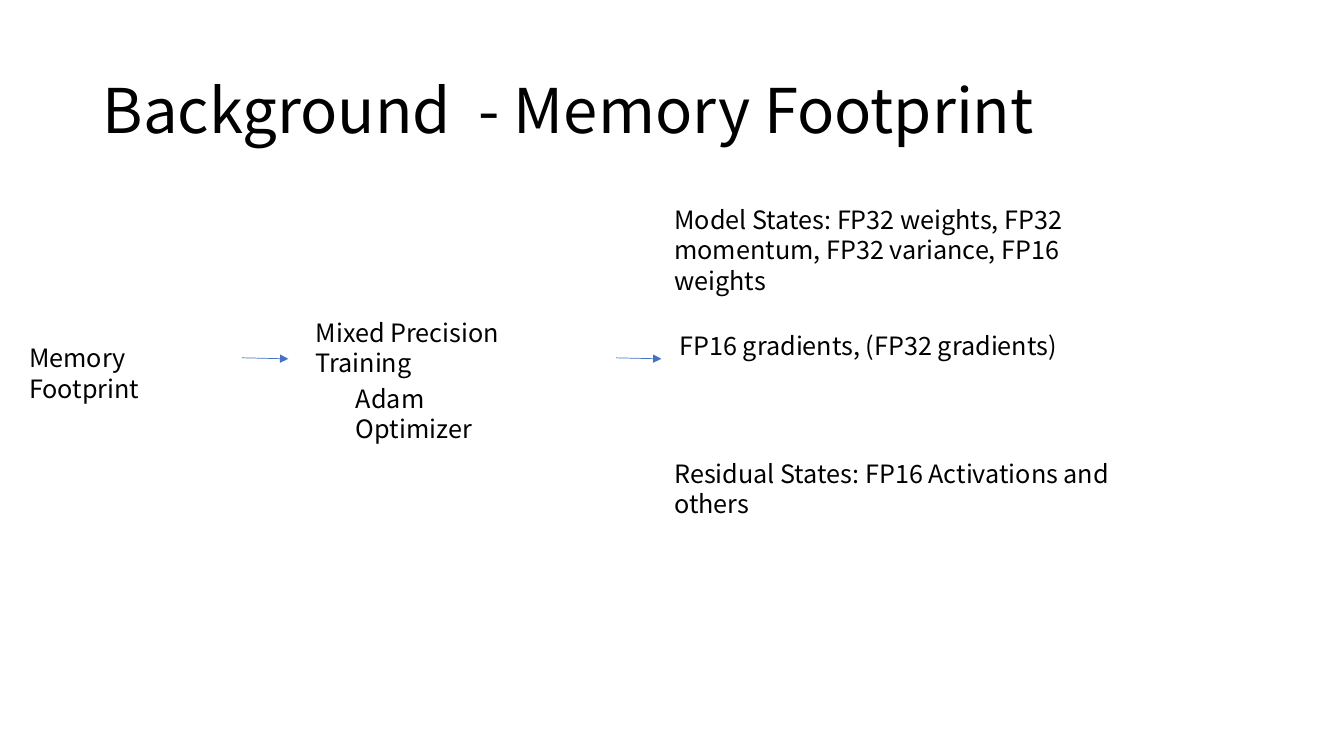
from lxml.etree import SubElement
from pptx import Presentation
from pptx.dml.color import RGBColor as RGB
from pptx.enum.shapes import MSO_CONNECTOR as Link
from pptx.enum.text import MSO_ANCHOR as Anchor, MSO_AUTO_SIZE as Auto
from pptx.oxml.ns import qn
from pptx.util import Inches, Pt

FONT = "Noto Sans CJK SC"
COLORS = {"text": "000000", "arrow": "4472C4"}
WIDE, HIGH = 13.33, 7.5
LINE = 0.4  # height of a one-line label


def label(slide, box, text, size=18):
    """Place wrapped text in box: left, top, width, height."""
    shape = slide.shapes.add_textbox(*map(Inches, box))
    frame = shape.text_frame
    frame.word_wrap = True
    frame.auto_size = Auto.SHAPE_TO_FIT_TEXT
    para = frame.paragraphs[0]
    para.text = text
    font = para.font
    font.name, font.size = FONT, Pt(size)
    font.color.rgb = RGB.from_string(COLORS["text"])
    return shape


def arrow(slide, start, end):
    """Draw a thin arrow between two points."""
    link = slide.shapes.add_connector(
        Link.STRAIGHT, *map(Inches, (*start, *end)))
    link.line.color.rgb = RGB.from_string(COLORS["arrow"])
    link.line.width = Pt(0.5)
    SubElement(link.line._get_or_add_ln(), qn("a:tailEnd"), type="triangle")
    SubElement(link._element.spPr, qn("a:effectLst"))
    return link


def title(slide, box, text):
    frame = label(slide, box, text, 44).text_frame
    frame.auto_size = Auto.NONE
    frame.vertical_anchor = Anchor.MIDDLE
    frame.paragraphs[0].line_spacing = 0.9


def flow(slide, box):
    """Lay out cause, method and stored states from left to right."""
    left, top, wide, high = box
    mid = top + high / 2

    # Cause
    cause = label(slide, (left, mid - LINE / 2, 2.21, LINE),
                  "Memory Footprint")

    # Method
    step = left + wide / 4
    label(slide, (step, mid - 0.45, 2.88, LINE), "Mixed Precision Training")
    label(slide, (step + LINE, mid + 0.2, 2.04, LINE), "Adam Optimizer")

    # Stored states
    width = 4.97
    col = left + wide - width
    states = [
        (0, top, 0.71, "Model States: FP32 weights, FP32 momentum, "
                       "FP32 variance, FP16 weights"),
        (0.05, top + 1.25, LINE, "FP16 gradients, (FP32 gradients)"),
        (0, top + 2.52, LINE, "Residual States: FP16 Activations and others"),
    ]
    for indent, y, tall, text in states:
        label(slide, (col + indent, y, width - indent, tall), text)

    # Arrows
    first = arrow(slide, (left + 2.21, mid), (left + 2.67, mid + 0.01))
    first.begin_connect(cause, 3)
    arrow(slide, (col - 0.48, mid), (col - 0.03, mid + 0.01))


def main():
    deck = Presentation()
    deck.slide_width, deck.slide_height = Inches(WIDE), Inches(HIGH)
    slide = deck.slides.add_slide(deck.slide_layouts[6])
    title(slide, (0.92, 0.4, 11.5, 1.45), "Background  - Memory Footprint")
    flow(slide, (0.19, 1.98, 11.37, 3.14))
    deck.save("out.pptx")


if __name__ == "__main__":
    main()
